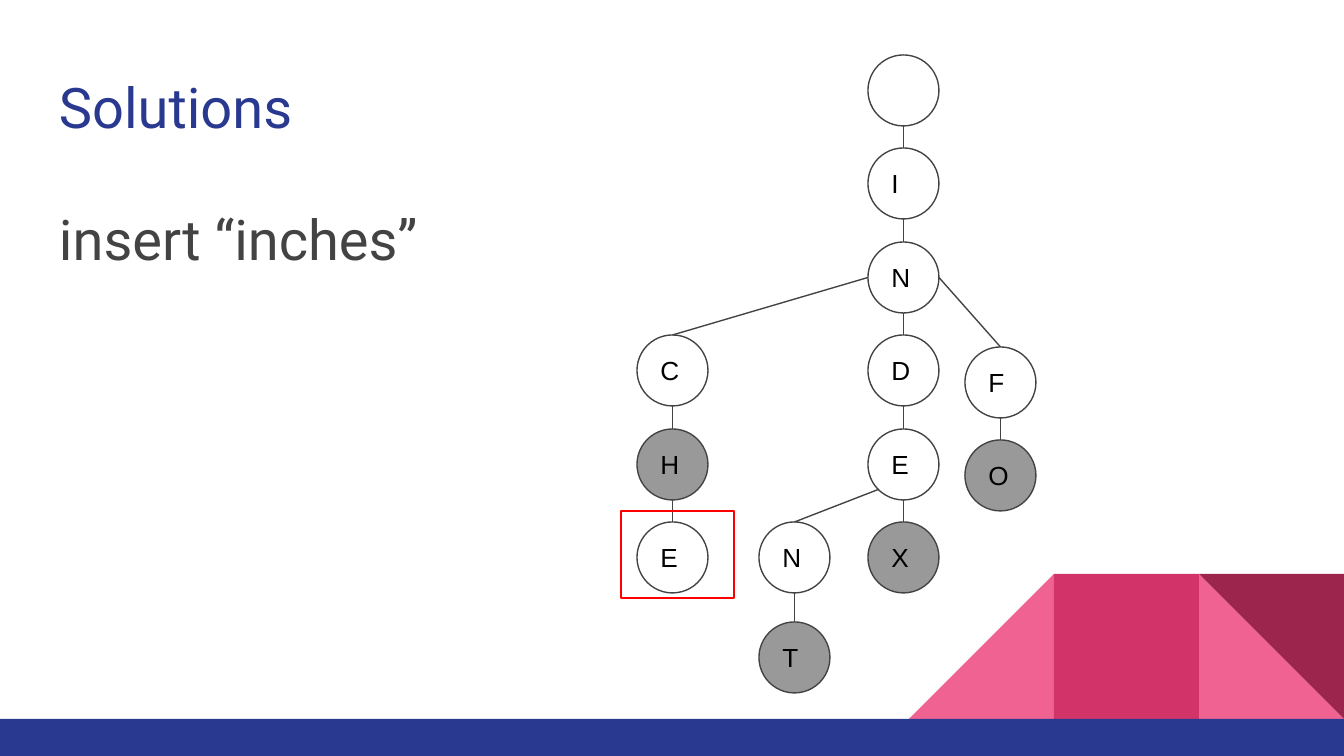
from typing import NamedTuple, Optional

from lxml.etree import SubElement
from pptx import Presentation
from pptx.dml.color import RGBColor
from pptx.enum.shapes import MSO_CONNECTOR as Connector, MSO_SHAPE as Shape
from pptx.enum.text import MSO_ANCHOR as Anchor, PP_ALIGN as Align
from pptx.oxml.ns import qn
from pptx.util import Emu, Pt

SLIDE_WIDTH, SLIDE_HEIGHT = 1344, 756
EMU_PER_PX = 9144000 / SLIDE_WIDTH
NODE_SIZE = 71
INK, WORD_END, RED = "434343", "999999", "FF0000"

# Points on a node, as fractions of its size
TOP, BOTTOM = (0.5, 0), (0.5, 1)
LEFT, RIGHT, LOWER_LEFT = (0, 0.5), (1, 0.5), (0.15, 0.85)


class Box(NamedTuple):
    left: int
    top: int
    width: int
    height: int


class Block(NamedTuple):
    kind: Shape
    box: Box
    fill: str
    flipped: bool = False
    rotation: int = 0


class Node(NamedTuple):
    left: int
    top: int
    letter: str
    fill: Optional[str] = None


class Edge(NamedTuple):
    parent: str
    child: str
    start: tuple = BOTTOM


def px(length: float) -> Emu:
    return Emu(round(length * EMU_PER_PX))


def color(value: str) -> RGBColor:
    return RGBColor.from_string(value)


def set_values(target, values: dict) -> None:
    for name, value in values.items():
        setattr(target, name, value)


def write(frame, text: str, font: dict, ink: str, **layout) -> None:
    margins = {f"margin_{side}": px(13) for side in ("left", "top", "right", "bottom")}
    set_values(frame, {"word_wrap": True, **margins, **layout})
    paragraph = frame.paragraphs[0]
    paragraph.alignment = Align.LEFT
    run = paragraph.add_run()
    run.text = text
    set_values(run.font, font)
    run.font.color.rgb = color(ink)


def draw_shape(slide, kind: Shape, box: Box, fill: Optional[str] = None,
               line: Optional[str] = None):
    shape = slide.shapes.add_shape(kind, *map(px, box))
    shape.shadow.inherit = False
    if fill:
        shape.fill.solid()
        shape.fill.fore_color.rgb = color(fill)
    else:
        shape.fill.background()
    if line:
        shape.line.color.rgb = color(line)
        shape.line.width = Pt(0.75)
    else:
        shape.line.fill.background()
    return shape


def draw_block(slide, block: Block) -> None:
    shape = draw_shape(slide, block.kind, block.box, block.fill)
    shape.rotation = block.rotation
    if block.flipped:
        shape._element.spPr.xfrm.set("flipH", "1")


def draw_node(slide, node: Node) -> None:
    box = Box(node.left, node.top, NODE_SIZE, NODE_SIZE)
    shape = draw_shape(slide, Shape.OVAL, box, node.fill, INK)
    if node.letter:
        write(shape.text_frame, node.letter, {"name": "Arial", "size": Pt(14)},
              "000000", vertical_anchor=Anchor.MIDDLE)


def draw_edge(slide, edge: Edge, nodes: dict) -> None:
    ends = []
    for name, (across, down) in ((edge.child, TOP), (edge.parent, edge.start)):
        node = nodes[name]
        ends += [px(node.left + across * NODE_SIZE), px(node.top + down * NODE_SIZE)]
    connector = slide.shapes.add_connector(Connector.STRAIGHT, *ends)
    connector.line.color.rgb = color(INK)
    connector.line.width = Pt(0.75)
    SubElement(connector._element.spPr, qn("a:effectLst"))


def draw_text(slide, box: Box, text: str, ink: str, spacing: float) -> None:
    frame = slide.shapes.add_textbox(*map(px, box)).text_frame
    write(frame, text, {"name": "Roboto", "size": Pt(30)}, ink,
          vertical_anchor=Anchor.TOP)
    frame.paragraphs[0].line_spacing = spacing


def row(index: int, first: int = 55) -> int:
    return round(first + 93.4 * index)


# Corner decoration: three equal squares above a footer bar
SIDE, FOOTER_TOP = 145, 719
corner = [Box(SLIDE_WIDTH - SIDE * count, FOOTER_TOP - SIDE, SIDE, SIDE)
          for count in (3, 2, 1)]
BLOCKS = [
    Block(Shape.RIGHT_TRIANGLE, corner[2], "F06292"),
    Block(Shape.RIGHT_TRIANGLE, corner[0], "F06292", flipped=True),
    Block(Shape.RECTANGLE, corner[1], "D23369"),
    Block(Shape.RIGHT_TRIANGLE, corner[2], "9C254D", rotation=180),
    Block(Shape.RECTANGLE,
          Box(0, FOOTER_TOP, SLIDE_WIDTH, SLIDE_HEIGHT - FOOTER_TOP), "2A3990"),
]

# Trie nodes, keyed by the prefix they stand for
INCHES, INDENT, INDEX, INFO = 637, 759, 868, 965
NODES = {
    "": Node(INDEX, row(0), ""),
    "i": Node(INDEX, row(1), "I"),
    "in": Node(INDEX, row(2), "N"),
    "ind": Node(INDEX, row(3), "D"),
    "inde": Node(INDEX, row(4), "E"),
    "index": Node(INDEX, row(5), "X", WORD_END),
    "inc": Node(INCHES, row(3), "C"),
    "inch": Node(INCHES, row(4), "H", WORD_END),
    "inche": Node(INCHES, row(5), "E"),
    "inf": Node(INFO, row(0, 347), "F"),
    "info": Node(INFO, row(1, 347), "O", WORD_END),
    "inden": Node(INDENT, row(5), "N"),
    "indent": Node(INDENT, 622, "T", WORD_END),
}
# Edges leave from the bottom of the parent unless they branch sideways
BRANCHES = {"inc": LEFT, "inf": RIGHT, "inden": LOWER_LEFT}
EDGES = [Edge(prefix[:-1], prefix, BRANCHES.get(prefix, BOTTOM))
         for prefix in NODES if prefix]


def main() -> None:
    presentation = Presentation()
    presentation.slide_width = px(SLIDE_WIDTH)
    presentation.slide_height = px(SLIDE_HEIGHT)
    slide = presentation.slides.add_slide(presentation.slide_layouts[6])

    for block in BLOCKS:
        draw_block(slide, block)

    # Title and task
    draw_text(slide, Box(46, 60, 1252, 89), "Solutions", "2A3990", 1.0)
    draw_text(slide, Box(46, 181, 1252, 491), "insert “inches”", INK, 1.15)

    # Trie
    for node in NODES.values():
        draw_node(slide, node)
    for edge in EDGES:
        draw_edge(slide, edge, NODES)

    # Highlight around the new node
    draw_shape(slide, Shape.RECTANGLE, Box(621, 511, 113, 87), line=RED)

    presentation.save("out.pptx")


if __name__ == "__main__":
    main()
